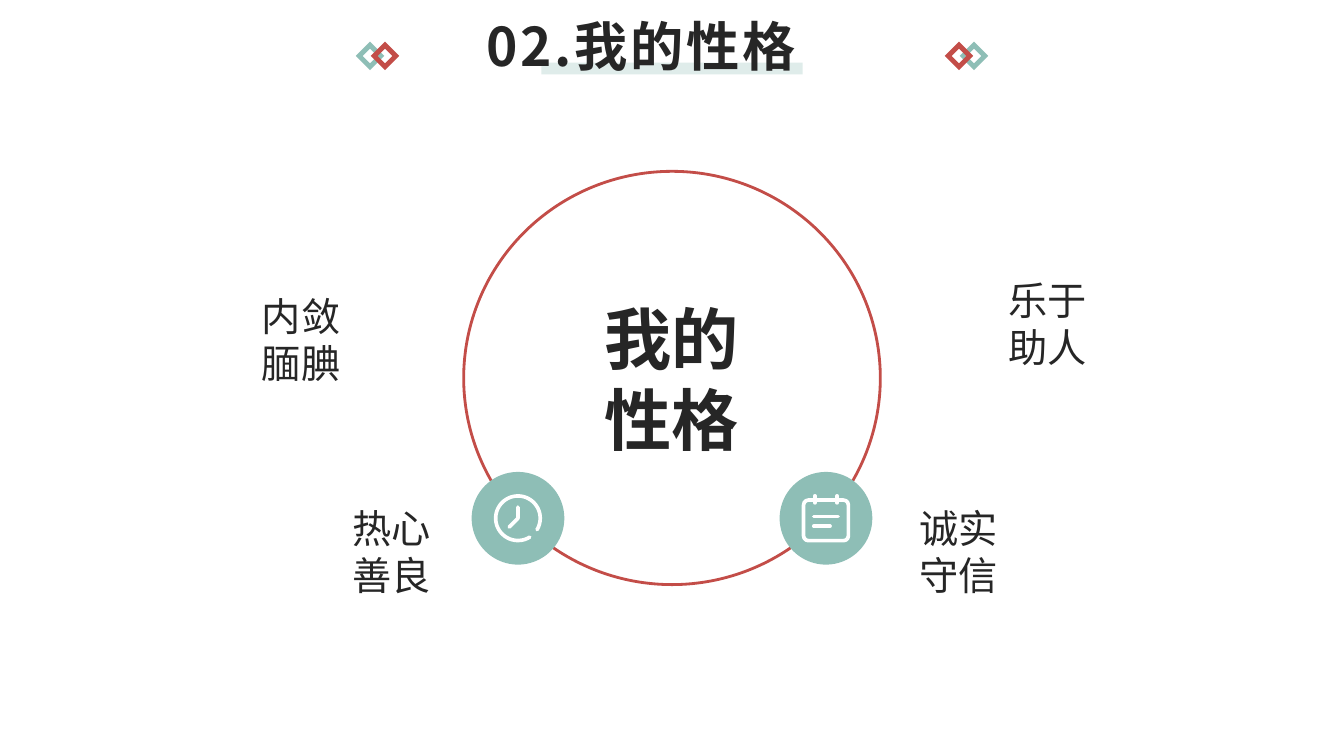
import math
from dataclasses import dataclass

import lxml.etree
import pptx
import pptx.dml.color
import pptx.enum.shapes
import pptx.enum.text
import pptx.oxml.ns
import pptx.util

Pt = pptx.util.Pt
RGB = pptx.dml.color.RGBColor
SHAPE = pptx.enum.shapes.MSO_SHAPE
ALIGN = pptx.enum.text.PP_ALIGN
ANCHOR = pptx.enum.text.MSO_ANCHOR
AUTO_SIZE = pptx.enum.text.MSO_AUTO_SIZE
qn = pptx.oxml.ns.qn

# Content
TITLE = "02.我的性格"
CENTRE_TEXT = "我的\n性格"
TRAITS = [  # text, left, top
    ("热心\n善良", 244.8, 356.4),
    ("诚实\n守信", 649.4, 356.4),
    ("乐于\n助人", 713.5, 193.7),
    ("内敛\n腼腆", 180, 205.2),
]


@dataclass(frozen=True)
class Theme:
    font: str = "Noto Sans CJK SC"
    ink: RGB = RGB(0x26, 0x26, 0x26)
    red: RGB = RGB(0xC3, 0x4D, 0x48)
    green: RGB = RGB(0x8E, 0xBE, 0xB6)
    white: RGB = RGB(0xFF, 0xFF, 0xFF)
    title_size: int = 38
    centre_size: int = 48
    trait_size: int = 28


THEME = Theme()

# Geometry in points
SLIDE_WIDTH, SLIDE_HEIGHT = 960, 540
MIDDLE_X = SLIDE_WIDTH / 2
RING_TOP, RING_WIDTH, RING_HEIGHT = 122.4, 297.6, 295.2
BADGE_OFFSET, BADGE_Y, BADGE_SIZE = 110, 370.2, 66.2
DIAMOND_Y, DIAMOND_SIZE = 40, 14.4
DIAMONDS = [(215.7, THEME.green), (205, THEME.red)]  # distance from the middle
ICON_STROKE = 2.6


def add_plain(shapes, kind, left, top, width, height, fill=None):
    shape = shapes.add_shape(kind, Pt(left), Pt(top), Pt(width), Pt(height))
    shape.shadow.inherit = False
    shape.line.fill.background()
    if fill is None:
        shape.fill.background()
    else:
        shape.fill.solid()
        shape.fill.fore_color.rgb = fill
    return shape


def set_line(shape, color, width):
    shape.line.color.rgb = color
    shape.line.width = Pt(width)


def write(frame, text, size, bold=False, align=ALIGN.LEFT):
    frame.text = text
    for paragraph in frame.paragraphs:
        paragraph.alignment = align
        for run in paragraph.runs:
            run.font.name = THEME.font
            run.font.size = Pt(size)
            run.font.bold = bold
            run.font.color.rgb = THEME.ink
            east_asian = lxml.etree.SubElement(run.font._element, qn("a:ea"))
            east_asian.set("typeface", THEME.font)


def add_stroke(shapes, points):
    """Draw a white round-capped line through points given in points."""
    ends = [(Pt(x), Pt(y)) for x, y in points]
    if len(ends) == 2:
        straight = pptx.enum.shapes.MSO_CONNECTOR.STRAIGHT
        stroke = shapes.add_connector(straight, *ends[0], *ends[1])
    else:
        builder = shapes.build_freeform(*ends[0], scale=1.0)
        builder.add_line_segments(ends[1:], close=False)
        stroke = builder.convert_to_shape()
        stroke.fill.background()
    set_line(stroke, THEME.white, ICON_STROKE)
    properties = stroke._element.spPr
    properties.find(qn("a:ln")).set("cap", "rnd")
    lxml.etree.SubElement(properties, qn("a:effectLst"))


def add_clock(shapes, x, y):
    radius, gap_end, gap_start = 15.9, 58, 391
    angles = [math.radians(a) for a in range(gap_end, gap_start + 1, 3)]
    rim = [(x + radius * math.cos(a), y + radius * math.sin(a)) for a in angles]
    hands = [(x, y - 8), (x, y), (x - 6.3, y + 6.3)]
    for points in (rim, hands):
        add_stroke(shapes, points)


def add_calendar(shapes, x, y):
    page = add_plain(shapes, SHAPE.ROUNDED_RECTANGLE, x - 16, y - 13, 32, 29)
    page.adjustments[0] = 0.12
    set_line(page, THEME.white, ICON_STROKE)
    for pin_x in (x - 8, x + 8):
        add_stroke(shapes, [(pin_x, y - 16), (pin_x, y - 11)])
    for note_y, note_length in ((y - 1.2, 17.4), (y + 5.7, 11.6)):
        add_stroke(shapes, [(x - 8.7, note_y), (x - 8.7 + note_length, note_y)])


def add_header(slide):
    shapes = slide.shapes
    underline = add_plain(shapes, SHAPE.RECTANGLE, 386.8, 44.8, 186.5, 8.4, THEME.green)
    color = underline._element.spPr.find(qn("a:solidFill"))[0]
    lxml.etree.SubElement(color, qn("a:alpha")).set("val", "28000")

    for side in (-1, 1):
        pair = shapes.add_group_shape()
        for distance, fill in DIAMONDS:
            left = MIDDLE_X + side * distance - DIAMOND_SIZE / 2
            diamond = add_plain(pair.shapes, SHAPE.FRAME, left,
                                DIAMOND_Y - DIAMOND_SIZE / 2,
                                DIAMOND_SIZE, DIAMOND_SIZE, fill)
            diamond.adjustments[0] = 0.241
            diamond.rotation = 45

    title = shapes.title
    title.left, title.top, title.width, title.height = Pt(242), Pt(18), Pt(432), Pt(34.6)
    frame = title.text_frame
    frame.margin_left = frame.margin_right = frame.margin_top = frame.margin_bottom = 0
    frame.vertical_anchor = ANCHOR.MIDDLE
    frame.word_wrap = True
    frame.auto_size = AUTO_SIZE.NONE
    write(frame, TITLE, THEME.title_size, True, ALIGN.CENTER)
    frame.paragraphs[0].line_spacing = 0.9
    frame.paragraphs[0].runs[0].font._element.set("spc", "200")
    shapes._spTree.append(title._element)  # in front of the underline


def add_ring(shapes):
    ring = add_plain(shapes, SHAPE.OVAL, MIDDLE_X - RING_WIDTH / 2, RING_TOP,
                     RING_WIDTH, RING_HEIGHT)
    set_line(ring, THEME.red, 2)
    ring.text_frame.vertical_anchor = ANCHOR.MIDDLE
    write(ring.text_frame, CENTRE_TEXT, THEME.centre_size, True, ALIGN.CENTER)

    for side, add_icon in ((-1, add_clock), (1, add_calendar)):
        x = MIDDLE_X + side * BADGE_OFFSET
        add_plain(shapes, SHAPE.OVAL, x - BADGE_SIZE / 2, BADGE_Y - BADGE_SIZE / 2,
                  BADGE_SIZE, BADGE_SIZE, THEME.green)
        add_icon(shapes, x, BADGE_Y)


def add_traits(shapes):
    for text, left, top in TRAITS:
        trait = shapes.add_textbox(Pt(left), Pt(top), Pt(71), Pt(74.5))
        trait.text_frame.word_wrap = False
        trait.text_frame.auto_size = AUTO_SIZE.SHAPE_TO_FIT_TEXT
        write(trait.text_frame, text, THEME.trait_size)


def main():
    deck = pptx.Presentation()
    deck.slide_width, deck.slide_height = Pt(SLIDE_WIDTH), Pt(SLIDE_HEIGHT)
    slide = deck.slides.add_slide(deck.slide_layouts.get_by_name("Title Only"))
    add_header(slide)
    add_ring(slide.shapes)
    add_traits(slide.shapes)
    deck.save("out.pptx")


if __name__ == "__main__":
    main()
